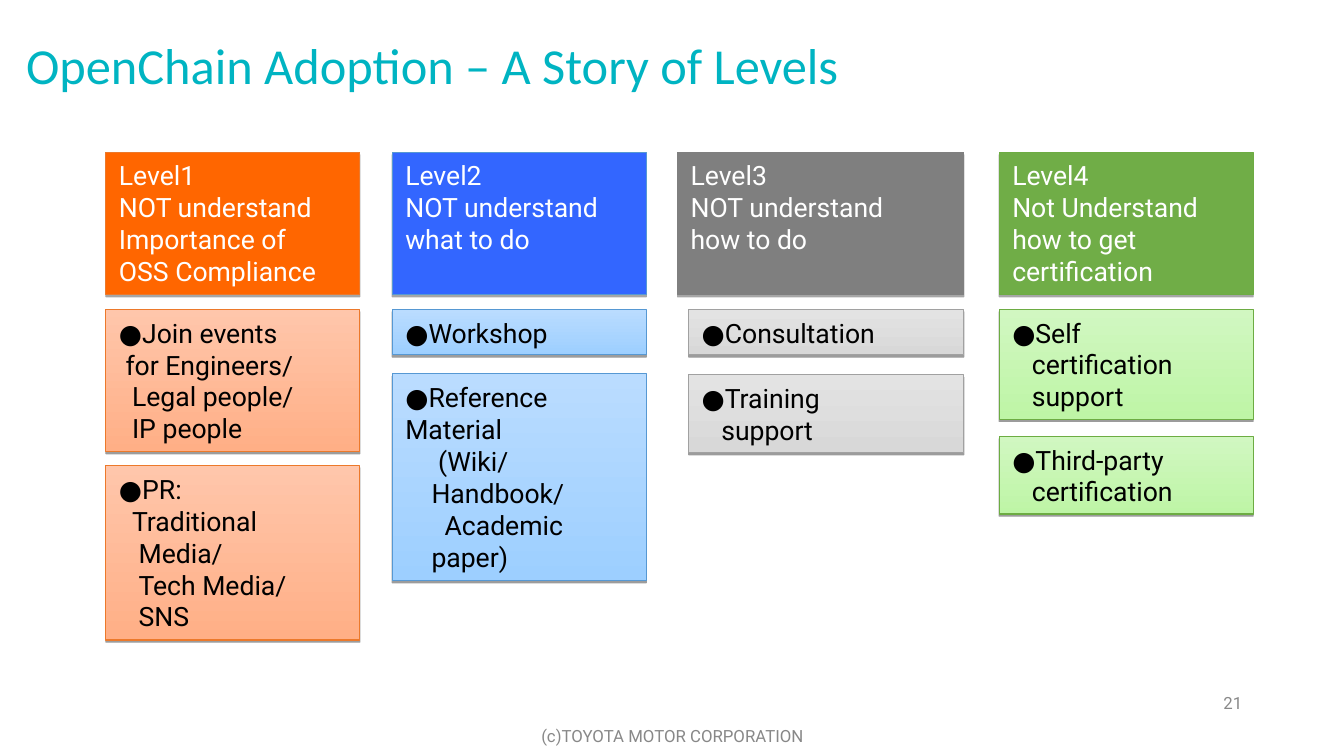
import pptx
import pptx.util
import pptx.dml.color
import pptx.enum.shapes
import pptx.enum.text
from lxml import etree

Inches, Pt = pptx.util.Inches, pptx.util.Pt
ALIGN = pptx.enum.text.PP_ALIGN

TITLE = "OpenChain Adoption – A Story of Levels"
COPYRIGHT = "(c)TOYOTA MOTOR CORPORATION"
PAGE = "21"

LEVELS = [
    dict(left=1.05, width=2.52, card_left=1.05, header="FF6600", header_line="EC792B",
         card_line="EC792B", gradient=("FFAF86", "FFC6AB"),
         heading=["Level1", "NOT understand", "Importance of", "OSS Compliance"],
         cards=[(3.07, 4, [("●Join events", 0), ("for Engineers/", 1),
                           ("Legal people/", 2), ("IP people", 2)]),
                (4.62, 5, [("●PR:", 0), ("Traditional", 2), ("Media/", 3),
                           ("Tech Media/", 3), ("SNS", 3)])]),
    dict(left=3.89, width=2.52, card_left=3.89, header="3366FF", header_line="5698D3",
         card_line="5698D3", gradient=("9DCFFF", "BADCFF"),
         heading=["Level2", "NOT understand", "what to do"],
         cards=[(3.07, 1, [("●Workshop", 0)]),
                (3.71, 6, [("●Reference Material", 0), ("(Wiki/", 5), ("Handbook/", 4),
                           ("Academic", 6), ("paper)", 4)])]),
    dict(left=6.72, width=2.84, card_left=6.83, header="7F7F7F", header_line="7F7F7F",
         card_line="A1A1A1", gradient=("D8D8D8", "E3E3E3"),
         heading=["Level3", "NOT understand", "how to do"],
         cards=[(3.07, 1, [("●Consultation", 0)]),
                (3.72, 2, [("●Training", 0), ("support", 3)])]),
    dict(left=9.91, width=2.52, card_left=9.91, header="70AD47", header_line="6DAC43",
         card_line="6DAC43", gradient=("BEF5A6", "D1F7C1"),
         heading=["Level4", "Not Understand", "how to get", "certification"],
         cards=[(3.07, 3, [("●Self", 0), ("certification", 3), ("support", 3)]),
                (4.33, 2, [("●Third-party", 0), ("certification", 3)])]),
]

HEADER_TOP, HEADER_LINES = 1.51, 4
LINE_HEIGHT, BOX_PADDING = 0.32, 0.13
INDENT_STEP = 0.065


def color(value):
    return pptx.dml.color.RGBColor.from_string(value)


def style(paragraph, size, font, ink):
    paragraph.font.size = Pt(size)
    paragraph.font.name = font
    paragraph.font.color.rgb = color(ink)


def add_label(slide, text, box, size, font, ink, align):
    label = slide.shapes.add_textbox(*map(Inches, box))
    frame = label.text_frame
    frame.word_wrap = True
    frame.vertical_anchor = pptx.enum.text.MSO_ANCHOR.MIDDLE
    paragraph = frame.paragraphs[0]
    paragraph.text = text
    paragraph.alignment = align
    style(paragraph, size, font, ink)
    return paragraph


def add_shadow(shape, opacity, distance):
    shape.shadow.inherit = False
    effects = shape.element.spPr.find(pptx.oxml.ns.qn("a:effectLst"))
    outer = etree.SubElement(effects, pptx.oxml.ns.qn("a:outerShdw"), blurRad="0",
                             dist=str(Pt(distance)), dir="5400000", rotWithShape="0")
    black = etree.SubElement(outer, pptx.oxml.ns.qn("a:srgbClr"), val="000000")
    etree.SubElement(black, pptx.oxml.ns.qn("a:alpha"), val=str(opacity * 1000))


def add_box(slide, left, top, width, line_count, lines, fills, outline, ink, shadow):
    height = BOX_PADDING + LINE_HEIGHT * line_count
    box = slide.shapes.add_shape(pptx.enum.shapes.MSO_SHAPE.RECTANGLE,
                                 *map(Inches, (left, top, width, height)))
    if len(fills) == 1:
        box.fill.solid()
        box.fill.fore_color.rgb = color(fills[0])
    else:
        box.fill.gradient()
        box.fill.gradient_angle = 90
        for stop, shade in zip(box.fill.gradient_stops, fills):
            stop.color.rgb = color(shade)
    box.line.color.rgb = color(outline)
    box.line.width = Pt(0.75)
    add_shadow(box, *shadow)

    frame = box.text_frame
    frame.word_wrap = True
    frame.auto_size = pptx.enum.text.MSO_AUTO_SIZE.SHAPE_TO_FIT_TEXT
    frame.vertical_anchor = pptx.enum.text.MSO_ANCHOR.TOP
    frame.margin_left = frame.margin_right = Inches(0.13)
    frame.margin_top = frame.margin_bottom = Inches(0.07)
    for index, (text, indent) in enumerate(lines):
        paragraph = frame.paragraphs[0] if index == 0 else frame.add_paragraph()
        paragraph.text = text
        paragraph.alignment = ALIGN.LEFT
        if indent:
            paragraph._p.get_or_add_pPr().set("marL", str(Inches(indent * INDENT_STEP)))
        style(paragraph, 19, "Roboto", ink)


def main():
    deck = pptx.Presentation()
    deck.slide_width, deck.slide_height = Inches(13.33), Inches(7.5)
    slide = deck.slides.add_slide(deck.slide_layouts[6])

    title = add_label(slide, TITLE, (0.16, 0.3, 10.92, 0.75), 36, "Calibri", "00B4C2", ALIGN.LEFT)
    title.line_spacing = 0.9
    add_label(slide, COPYRIGHT, (4.42, 7.1, 4.5, 0.4), 12, "Roboto", "888888", ALIGN.CENTER)
    add_label(slide, PAGE, (11.18, 6.77, 1.24, 0.4), 12, "Roboto", "898989", ALIGN.RIGHT)

    for level in LEVELS:
        add_box(slide, level["left"], HEADER_TOP, level["width"], HEADER_LINES,
                [(text, 0) for text in level["heading"]], (level["header"],),
                level["header_line"], "FFFFFF", (35, 1.8))
        card_width = level["left"] + level["width"] - level["card_left"]
        for top, line_count, lines in level["cards"]:
            add_box(slide, level["card_left"], top, card_width, line_count, lines,
                    level["gradient"], level["card_line"], "000000", (38, 1.6))

    deck.save("out.pptx")


if __name__ == "__main__":
    main()
